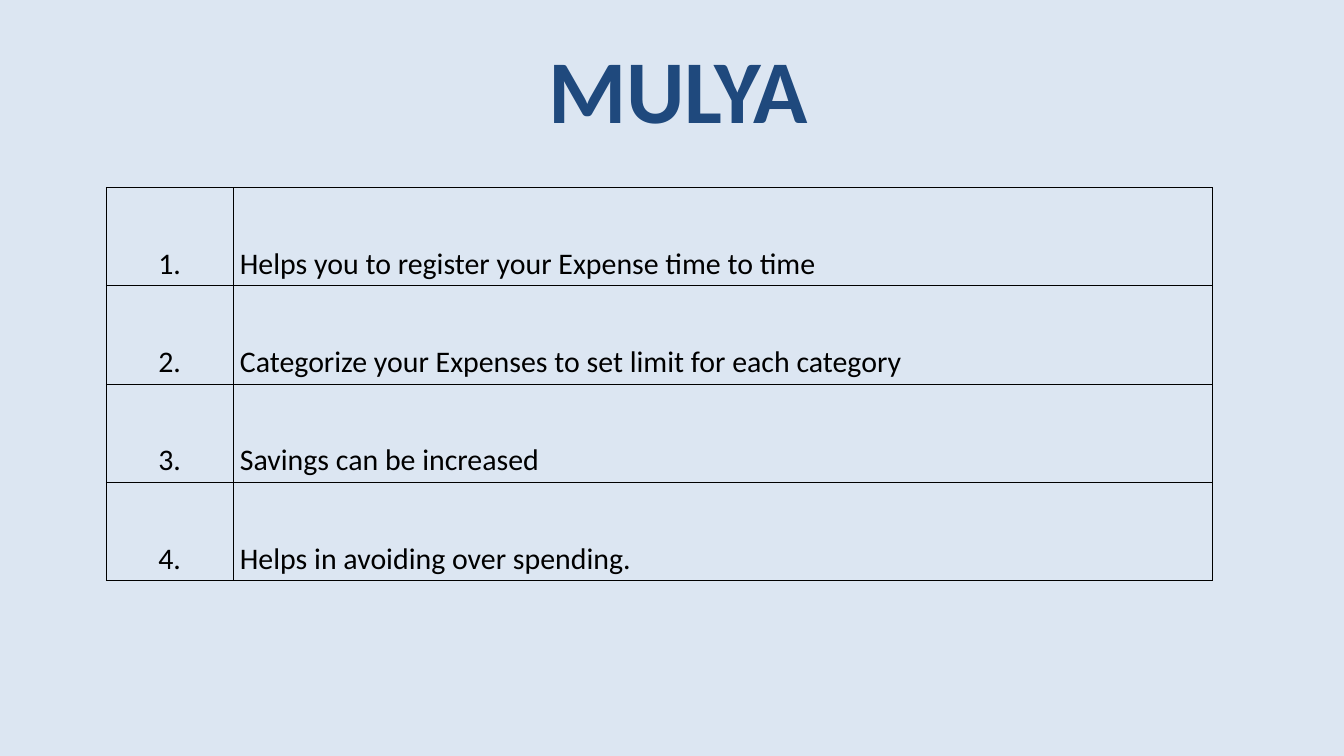
from pptx import Presentation
from pptx.dml.color import RGBColor
from pptx.enum.text import MSO_ANCHOR, PP_ALIGN
from pptx.oxml import parse_xml
from pptx.oxml.ns import nsdecls
from pptx.util import Inches, Pt

CENTER, LEFT = PP_ALIGN.CENTER, PP_ALIGN.LEFT
BOTTOM = MSO_ANCHOR.BOTTOM

THEME = {
    "font": "Calibri",
    "background": "DCE6F2",
    "title": "1F497D",
    "text": "000000",
    "border": "000000",
    "title_size": 96,
    "text_size": 32,
    "border_width": 1,
}

BENEFITS = [
    "Helps you to register your Expense time to time",
    "Categorize your Expenses to set limit for each category",
    "Savings can be increased",
    "Helps in avoiding over spending.",
]


def add_text(tf, text, role, align, bold=False):
    p = tf.paragraphs[0]
    p.alignment = align
    r = p.add_run()
    r.text = text
    r.font.name = THEME["font"]
    r.font.size = Pt(THEME[role + "_size"])
    r.font.bold = bold
    r.font.color.rgb = RGBColor.from_string(THEME[role])


def add_borders(cell):
    tc_pr = cell._tc.get_or_add_tcPr()
    for side in ("lnL", "lnR", "lnT", "lnB"):
        tc_pr.append(parse_xml(
            f'<a:{side} {nsdecls("a")} w="{Pt(THEME["border_width"])}"><a:solidFill>'
            f'<a:srgbClr val="{THEME["border"]}"/></a:solidFill></a:{side}>'
        ))


prs = Presentation()
prs.slide_width, prs.slide_height = Inches(20), Inches(11.25)
col, row = prs.slide_width / 100, prs.slide_height / 100

s = prs.slides.add_slide(prs.slide_layouts[6])
s.background.fill.solid()
s.background.fill.fore_color.rgb = RGBColor.from_string(THEME["background"])

title = s.shapes.add_textbox(
    int(11.25 * col), int(4.1 * row), int(78.4 * col), int(15.3 * row)
)
title.text_frame.word_wrap = True
add_text(title.text_frame, "MULYA", "title", CENTER, bold=True)

widths = [int(9.45 * col), int(72.85 * col)]
row_height = int(13 * row)
table = s.shapes.add_table(
    len(BENEFITS), len(widths), int(7.9 * col), int(24.8 * row),
    sum(widths), row_height * len(BENEFITS),
).table
table.first_row = False
table.horz_banding = False
for column, width in zip(table.columns, widths):
    column.width = width

for i, benefit in enumerate(BENEFITS):
    for j, (text, align) in enumerate([(f"{i + 1}.", CENTER), (benefit, LEFT)]):
        cell = table.cell(i, j)
        cell.vertical_anchor = BOTTOM
        add_borders(cell)
        cell.fill.background()
        add_text(cell.text_frame, text, "text", align)

prs.save("out.pptx")
